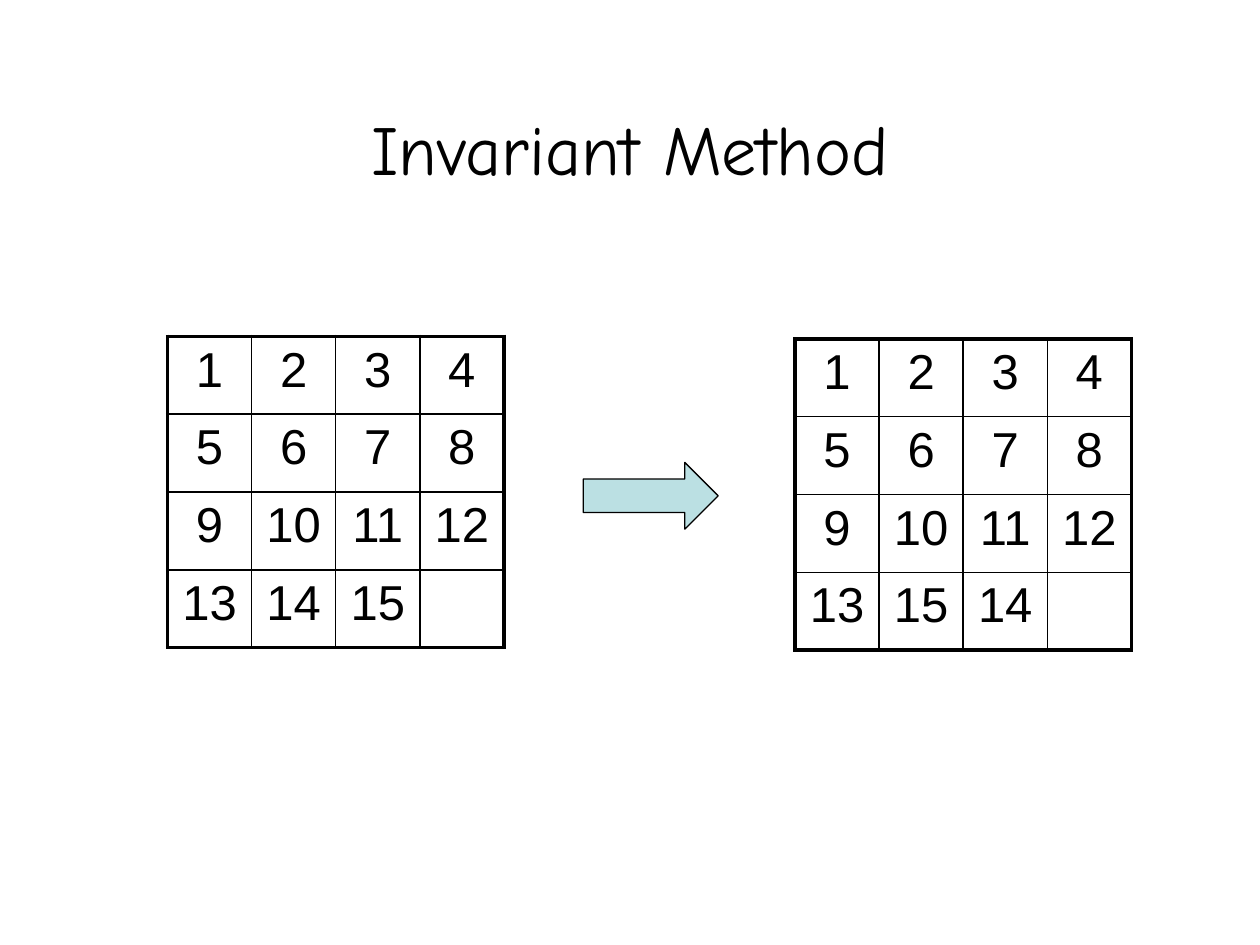
"""Build a slide showing two fifteen-puzzle boards joined by an arrow."""
from lxml import etree
from pptx import Presentation
from pptx import util as u
from pptx.dml.color import RGBColor
from pptx.enum import shapes, text
from pptx.oxml.ns import qn

BLACK = RGBColor(0x00, 0x00, 0x00)
PALE_TEAL = RGBColor(0xBB, 0xE0, 0xE3)
SIZE = 4
START = [*range(1, 16), ""]
GOAL = [*range(1, 14), 15, 14, ""]


class PuzzleSlide:
    title_font = "Comic Neue"
    tile_font = "Arial"
    inner_line = u.Pt(1)
    outer_line = u.Pt(2.25)

    def __init__(self, slide):
        self.slide = slide

    def set_text(self, frame, content, font_name, size):
        paragraph = frame.paragraphs[0]
        paragraph.text = content
        paragraph.alignment = text.PP_ALIGN.CENTER
        paragraph.font.name = font_name
        paragraph.font.size = u.Pt(size)
        paragraph.font.color.rgb = BLACK

    def title(self, content, left, top, width, height):
        box = self.slide.shapes.add_textbox(
            u.Inches(left), u.Inches(top), u.Inches(width), u.Inches(height))
        frame = box.text_frame
        frame.word_wrap = True
        frame.vertical_anchor = text.MSO_ANCHOR.MIDDLE
        self.set_text(frame, content, self.title_font, 40)

    def borders(self, cell, row, column):
        outer_sides = {"a:lnL": column == 0, "a:lnR": column == SIZE - 1,
                       "a:lnT": row == 0, "a:lnB": row == SIZE - 1}
        properties = cell._tc.get_or_add_tcPr()
        for position, (side, outer) in enumerate(outer_sides.items()):
            line = etree.Element(qn(side), w=str(self.outer_line if outer else self.inner_line))
            fill = etree.SubElement(line, qn("a:solidFill"))
            etree.SubElement(fill, qn("a:srgbClr"), val=str(BLACK))
            properties.insert(position, line)

    def board(self, tiles, left, top, width=2.67, height=2.47):
        table = self.slide.shapes.add_table(
            SIZE, SIZE, u.Inches(left), u.Inches(top),
            u.Inches(width), u.Inches(height)).table
        table.first_row = table.horz_banding = False
        for index, tile in enumerate(tiles):
            row, column = divmod(index, SIZE)
            cell = table.cell(row, column)
            cell.fill.background()
            self.borders(cell, row, column)
            self.set_text(cell.text_frame, str(tile), self.tile_font, 28)

    def arrow(self, left, top, width, height):
        shape = self.slide.shapes.add_shape(
            shapes.MSO_SHAPE.RIGHT_ARROW, u.Inches(left), u.Inches(top),
            u.Inches(width), u.Inches(height))
        shape.shadow.inherit = False
        shape.fill.solid()
        shape.fill.fore_color.rgb = PALE_TEAL
        shape.line.color.rgb = BLACK
        shape.line.width = u.Pt(0.75)


def main():
    presentation = Presentation()
    presentation.slide_width = u.Inches(10)
    presentation.slide_height = u.Inches(7.5)
    puzzle = PuzzleSlide(presentation.slides.add_slide(presentation.slide_layouts[6]))
    puzzle.title("Invariant Method", 1.75, 0.67, 6.5, 1)
    puzzle.board(START, 1.33, 2.67)
    puzzle.board(GOAL, 6.31, 2.69)
    puzzle.arrow(4.63, 3.67, 1.07, 0.53)
    presentation.save("out.pptx")


if __name__ == "__main__":
    main()
